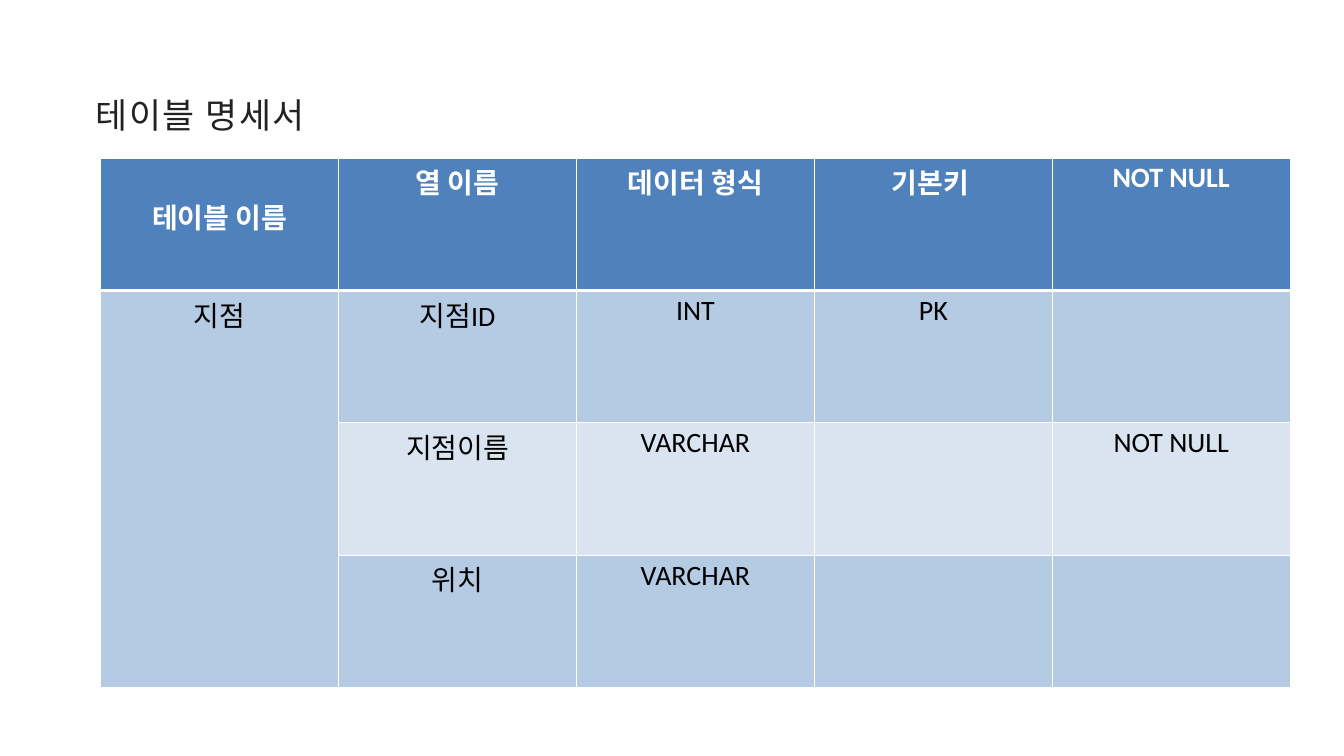
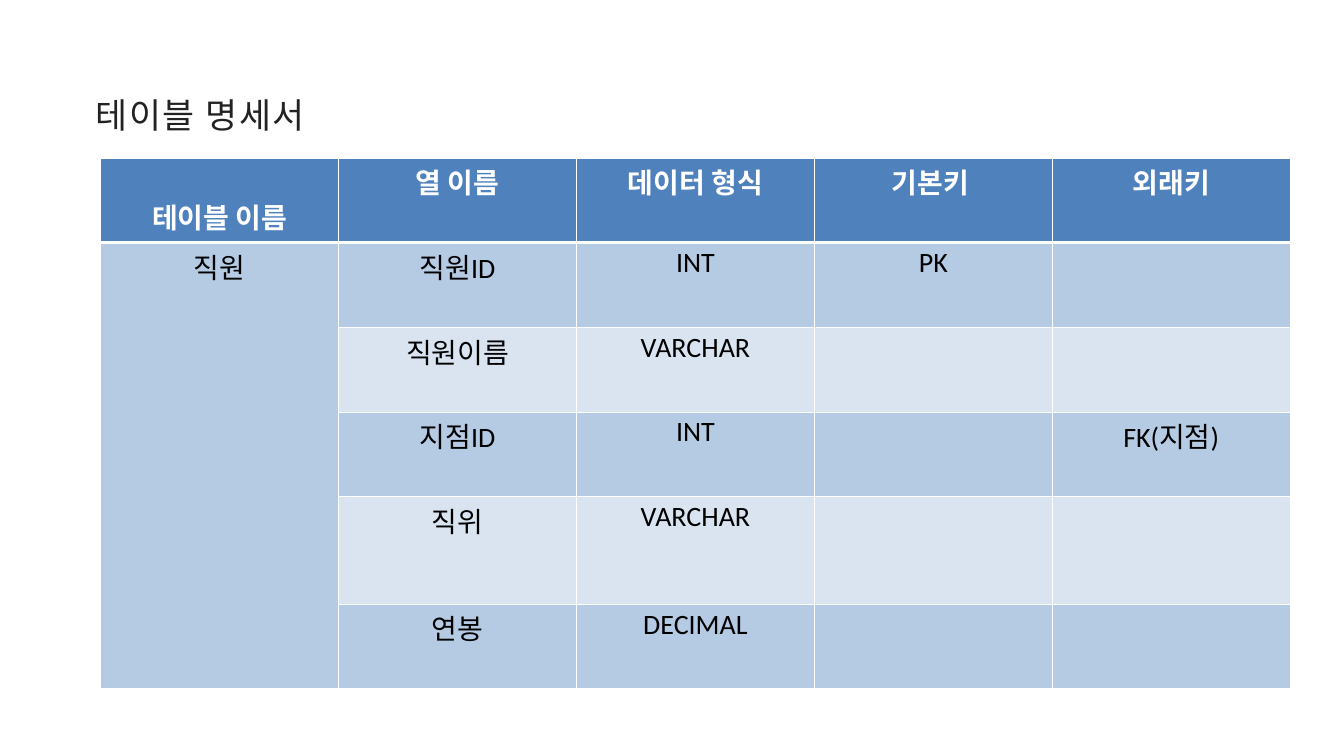
"""Build two slides that specify the columns of the branch and employee tables."""
import pptx
import pptx.dml.color
import pptx.enum.text
import pptx.oxml
import pptx.oxml.ns
import pptx.util
from pptx.util import Inches

COLORS = {
    "title": "222222",
    "header": "4F81BD",
    "odd_row": "B5CAE3",
    "even_row": "DAE4F1",
    "white": "FFFFFF",
    "black": "000000",
}
TITLE_FONT = "Noto Sans CJK KR"
TABLE_FONT = "Calibri"
COLUMN_WIDTH = 3.54
HEADERS = ["테이블 이름", "열 이름", "데이터 형식", "기본키 "]

SPECIFICATIONS = [
    {
        "table_name": "지점",
        "last_header": "NOT NULL",
        "row_heights": [1.97] * 4,
        "columns": [
            ["지점ID", "INT", "PK", ""],
            ["지점이름", "VARCHAR", "", "NOT NULL"],
            ["위치", "VARCHAR", "", ""],
        ],
    },
    {
        "table_name": "직원",
        "last_header": "외래키",
        "row_heights": [1.26, 1.26, 1.26, 1.26, 1.6, 1.26],
        "columns": [
            ["직원ID", "INT", "PK", ""],
            ["직원이름", "VARCHAR", "", ""],
            ["지점ID", "INT", "", "FK(지점)"],
            ["직위", "VARCHAR", "", ""],
            ["연봉", "DECIMAL", "", ""],
        ],
    },
]


def rgb(name):
    return pptx.dml.color.RGBColor.from_string(COLORS[name])


def add_borders(cell, bottom_width):
    properties = cell._tc.get_or_add_tcPr()
    for side, points in (("L", 1), ("R", 1), ("T", 1), ("B", bottom_width)):
        properties.append(pptx.oxml.parse_xml(
            f'<a:ln{side} {pptx.oxml.ns.nsdecls("a")} w="{pptx.util.Pt(points)}">'
            f'<a:solidFill><a:srgbClr val="{COLORS["white"]}"/></a:solidFill></a:ln{side}>'
        ))


presentation = pptx.Presentation()
presentation.slide_width = Inches(20)
presentation.slide_height = Inches(11.25)

for specification in SPECIFICATIONS:
    slide = presentation.slides.add_slide(presentation.slide_layouts[6])

    title = slide.shapes.add_textbox(Inches(1.42), Inches(1.29), Inches(4.25), Inches(0.72))
    frame = title.text_frame
    frame.word_wrap = True
    frame.auto_size = pptx.enum.text.MSO_AUTO_SIZE.SHAPE_TO_FIT_TEXT
    frame.margin_left = frame.margin_right = frame.margin_top = frame.margin_bottom = 0
    paragraph = frame.paragraphs[0]
    paragraph.alignment = pptx.enum.text.PP_ALIGN.JUSTIFY
    paragraph.line_spacing = pptx.util.Pt(51.9)
    run = paragraph.add_run()
    run.text = "테이블 명세서"
    run.font.size = pptx.util.Pt(37.3)
    run.font.name = TITLE_FONT
    run.font.color.rgb = rgb("title")
    run_properties = run._r.get_or_add_rPr()
    run_properties.set("spc", "170")
    run_properties.append(pptx.oxml.parse_xml(
        f'<a:ea {pptx.oxml.ns.nsdecls("a")} typeface="{TITLE_FONT}"/>'
    ))

    rows = [HEADERS + [specification["last_header"]]]
    rows += [["", *column] for column in specification["columns"]]
    rows[1][0] = specification["table_name"]
    heights = specification["row_heights"]
    table = slide.shapes.add_table(
        len(rows), len(rows[0]), Inches(1.5), Inches(2.35),
        Inches(COLUMN_WIDTH * len(rows[0])), Inches(sum(heights)),
    ).table
    for table_column in table.columns:
        table_column.width = Inches(COLUMN_WIDTH)

    for row_index, texts in enumerate(rows):
        table.rows[row_index].height = Inches(heights[row_index])
        is_header = row_index == 0
        row_fill = "header" if is_header else "odd_row" if row_index % 2 else "even_row"
        for column_index, text in enumerate(texts):
            cell = table.cell(row_index, column_index)
            add_borders(cell, 3 if is_header else 1)
            cell.fill.solid()
            cell.fill.fore_color.rgb = rgb(row_fill if column_index or is_header else "odd_row")
            cell.text = text
            paragraph = cell.text_frame.paragraphs[0]
            paragraph.alignment = pptx.enum.text.PP_ALIGN.CENTER
            paragraph.font.size = pptx.util.Pt(30)
            paragraph.font.name = TABLE_FONT
            paragraph.font.bold = is_header
            paragraph.font.color.rgb = rgb("white" if is_header else "black")

    table.cell(0, 0).margin_top = Inches(0.56)
    table.cell(1, 0).merge(table.cell(len(rows) - 1, 0))

presentation.save("out.pptx")
